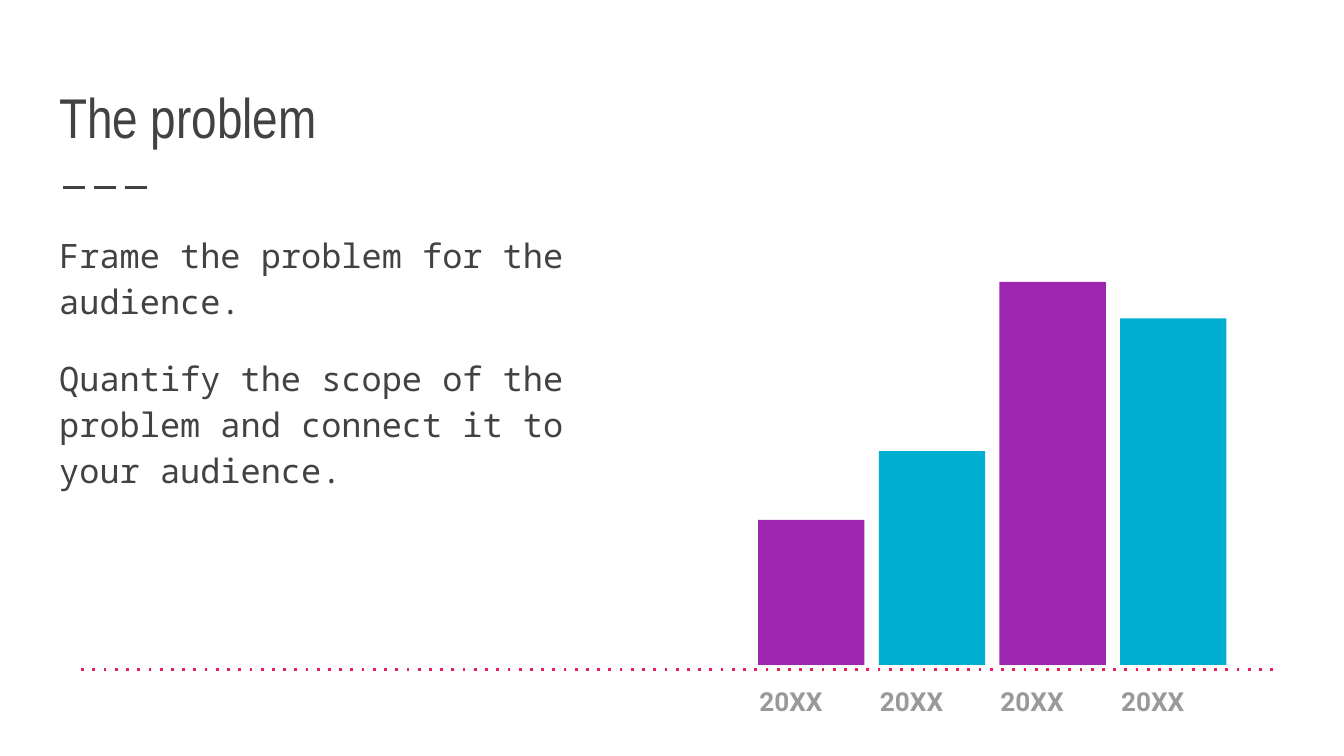
from dataclasses import dataclass

from lxml import etree
from pptx import Presentation
from pptx.dml.color import RGBColor
from pptx.enum.shapes import MSO_CONNECTOR, MSO_SHAPE
from pptx.enum.text import MSO_ANCHOR
from pptx.oxml.ns import qn
from pptx.util import Cm, Pt

STRAIGHT = MSO_CONNECTOR.STRAIGHT
RECTANGLE = MSO_SHAPE.RECTANGLE
TOP, BOTTOM = MSO_ANCHOR.TOP, MSO_ANCHOR.BOTTOM

COLORS = {
    "text": "424242",
    "label": "999999",
    "purple": "9C26B0",
    "cyan": "01AFD1",
    "baseline": "E91D63",
}

INSET = 0.25
COLUMN_WIDTH = 2.28
BAR_LEFT, BAR_WIDTH, BAR_BOTTOM = 14.33, 2.01, 12.57
TABLE_LEFT = 14.1
BASELINE_TOP = 12.65


@dataclass(frozen=True)
class TextStyle:
    font: str
    size: float
    color: str
    bold: bool = False
    line_spacing: float = 1.0


@dataclass(frozen=True)
class Bar:
    label: str
    height: float
    color: str


TITLE = TextStyle("Arial Narrow", 30, "text")
BODY = TextStyle("Noto Sans Mono", 18, "text", line_spacing=1.15)
LABEL = TextStyle("Roboto", 14, "label", bold=True, line_spacing=1.15)

BODY_TEXT = [
    "Frame the problem for the audience.",
    "Quantify the scope of the problem and connect it to your audience.",
]
BARS = [
    Bar("20XX", 2.74, "purple"),
    Bar("20XX", 4.04, "cyan"),
    Bar("20XX", 7.24, "purple"),
    Bar("20XX", 6.55, "cyan"),
]


def rgb(name: str) -> RGBColor:
    return RGBColor.from_string(COLORS[name])


def set_insets(holder) -> None:
    """Give a text frame or table cell the same margin on every side."""
    holder.margin_left = holder.margin_right = Cm(INSET)
    holder.margin_top = holder.margin_bottom = Cm(INSET)


def write_text(frame, lines: list[str], style: TextStyle, gap: float = 0) -> None:
    """Write one paragraph per line, with gap points between paragraphs."""
    for index, line in enumerate(lines):
        para = frame.add_paragraph() if index else frame.paragraphs[0]
        para.line_spacing = style.line_spacing
        if index:
            para.space_before = Pt(gap)
        span = para.add_run()
        span.text = line
        span.font.name = style.font
        span.font.size = Pt(style.size)
        span.font.bold = style.bold
        span.font.color.rgb = rgb(style.color)


def add_text(page, left: float, top: float, width: float, height: float,
             lines: list[str], style: TextStyle, anchor=TOP, gap: float = 0) -> None:
    box = page.shapes.add_textbox(Cm(left), Cm(top), Cm(width), Cm(height))
    frame = box.text_frame
    frame.word_wrap = True
    frame.vertical_anchor = anchor
    set_insets(frame)
    write_text(frame, lines, style, gap)


def add_dashed_line(page, start: float, end: float, top: float,
                    color: str, dash: str) -> None:
    line = page.shapes.add_connector(STRAIGHT, Cm(start), Cm(top), Cm(end), Cm(top))
    line.line.width = Pt(1.5)
    line.line.color.rgb = rgb(color)
    etree.SubElement(line.get_or_add_ln(), qn("a:prstDash"), val=dash)
    etree.SubElement(line._element.spPr, qn("a:effectLst"))


def add_year_table(page, bars: list[Bar]) -> None:
    table = page.shapes.add_table(
        1, len(bars), Cm(TABLE_LEFT), Cm(BASELINE_TOP),
        Cm(COLUMN_WIDTH * len(bars)), Cm(0.66)).table
    table.first_row = table.horz_banding = False
    for column, bar in enumerate(bars):
        table.columns[column].width = Cm(COLUMN_WIDTH)
        cell = table.cell(0, column)
        cell.fill.background()
        set_insets(cell)
        write_text(cell.text_frame, [bar.label], LABEL)


def add_bars(page, bars: list[Bar]) -> None:
    for column, bar in enumerate(bars):
        shape = page.shapes.add_shape(
            RECTANGLE, Cm(BAR_LEFT + column * COLUMN_WIDTH),
            Cm(BAR_BOTTOM - bar.height), Cm(BAR_WIDTH), Cm(bar.height))
        shape.shadow.inherit = False
        shape.fill.solid()
        shape.fill.fore_color.rgb = rgb(bar.color)
        shape.line.fill.background()


def main() -> None:
    deck = Presentation()
    deck.slide_width, deck.slide_height = Cm(25.4), Cm(14.29)
    page = deck.slides.add_slide(deck.slide_layouts[6])

    add_dashed_line(page, 1.19, 2.9, 3.54, "text", "lgDash")
    add_text(page, 0.87, 1.04, 23.67, 2.04, ["The problem"], TITLE, BOTTOM)
    add_text(page, 0.87, 4.08, 11.1, 8.61, BODY_TEXT, BODY, gap=16)
    add_year_table(page, BARS)
    add_bars(page, BARS)
    add_dashed_line(page, 24.06, 1.43, BASELINE_TOP, "baseline", "dot")

    deck.save("out.pptx")


if __name__ == "__main__":
    main()
